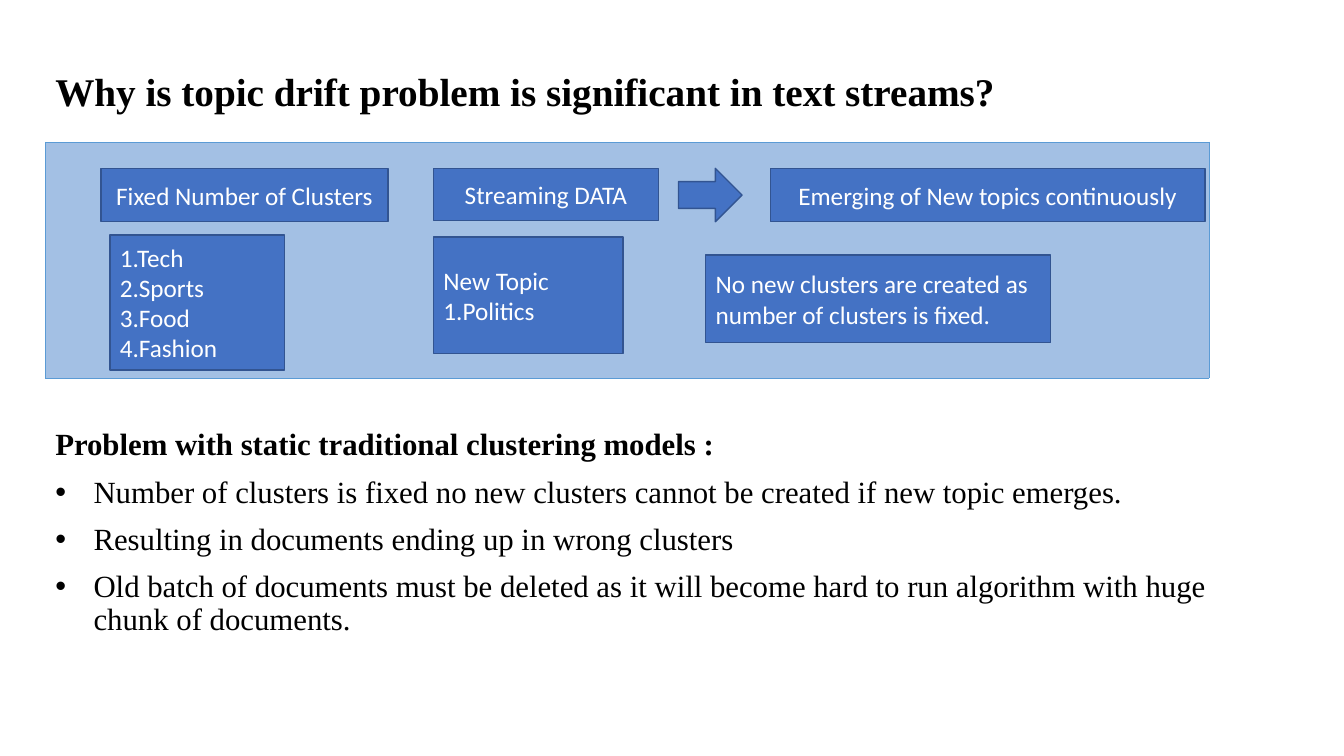
from dataclasses import dataclass

import pptx
import pptx.dml.color
import pptx.enum.shapes
import pptx.enum.text
import pptx.oxml
import pptx.oxml.ns
import pptx.util
from lxml import etree

EMU_PER_PX = 9144
SHAPE = pptx.enum.shapes.MSO_SHAPE
ANCHOR = pptx.enum.text.MSO_ANCHOR
ALIGN = pptx.enum.text.PP_ALIGN


@dataclass(frozen=True)
class Theme:
    ink: str = "000000"
    box_fill: str = "4472C4"
    box_line: str = "325491"
    box_text: str = "FFFFFF"
    panel_fill: str = "A3C0E4"
    panel_line: str = "5B9BD5"
    heading_font: str = "Times New Roman"
    box_font: str = "Calibri"
    title_size: int = 28
    body_size: int = 22
    box_size: int = 18


@dataclass(frozen=True)
class Area:
    left: int
    top: int
    width: int
    height: int

    def emu(self) -> list[pptx.util.Emu]:
        return [px(side) for side in (self.left, self.top, self.width, self.height)]


@dataclass(frozen=True)
class Block:
    area: Area
    lines: tuple[str, ...] = ()
    align: ALIGN = ALIGN.LEFT
    outline: SHAPE = SHAPE.RECTANGLE


@dataclass(frozen=True)
class Line:
    text: str
    size: int
    bold: bool = False
    bullet: bool = False
    space_before: int = 0


THEME = Theme()
BULLET_INDENT = 38
LABEL_TOP = 167
STREAM_LEFT = 430

TITLE = Line("Why is topic drift problem is significant in text streams?", THEME.title_size, bold=True)
BODY = [
    Line("Problem with static traditional clustering models :", THEME.body_size, bold=True, space_before=10),
] + [
    Line(text, THEME.body_size, bullet=True, space_before=10)
    for text in (
        "Number of clusters is fixed no new clusters cannot be created if new topic emerges.",
        "Resulting in documents ending up in wrong clusters",
        "Old batch of documents must be deleted as it will become hard to run algorithm with huge chunk of documents.",
    )
]
BLOCKS = [
    Block(Area(STREAM_LEFT, LABEL_TOP, 223, 52), ("Streaming DATA",), ALIGN.CENTER),
    Block(Area(673, LABEL_TOP, 63, 53), outline=SHAPE.RIGHT_ARROW),
    Block(Area(764, LABEL_TOP, 431, 53), ("Emerging of New topics continuously",), ALIGN.CENTER),
    Block(Area(100, LABEL_TOP, 285, 53), ("Fixed Number of Clusters",), ALIGN.CENTER),
    Block(Area(109, 233, 173, 134), ("1.Tech", "2.Sports", "3.Food", "4.Fashion")),
    Block(Area(STREAM_LEFT, 235, 188, 116), ("New Topic", "1.Politics")),
    Block(Area(700, 253, 342, 87), ("No new clusters are created as number of clusters is fixed.",)),
]


def px(count: int) -> pptx.util.Emu:
    return pptx.util.Emu(count * EMU_PER_PX)


def color(value: str) -> pptx.dml.color.RGBColor:
    return pptx.dml.color.RGBColor.from_string(value)


def add_span(para, text: str, font: str, size: int, ink: str, bold: bool = False) -> None:
    span = para.add_run()
    span.text = text
    span.font.name = font
    span.font.size = pptx.util.Pt(size)
    span.font.bold = bold
    span.font.color.rgb = color(ink)


def next_para(frame, index: int):
    return frame.add_paragraph() if index else frame.paragraphs[0]


def add_bullet(para) -> None:
    properties = para._p.get_or_add_pPr()
    properties.set("marL", str(px(BULLET_INDENT)))
    properties.set("indent", str(-px(BULLET_INDENT)))
    for tag, name, value in (("a:buFont", "typeface", "Arial"), ("a:buChar", "char", "•")):
        etree.SubElement(properties, pptx.oxml.ns.qn(tag)).set(name, value)


def add_text(page, area: Area, lines: list[Line], anchor: ANCHOR) -> None:
    frame = page.shapes.add_textbox(*area.emu()).text_frame
    frame.word_wrap = True
    frame.vertical_anchor = anchor
    for index, line in enumerate(lines):
        para = next_para(frame, index)
        para.line_spacing = 0.9
        para.space_before = pptx.util.Pt(line.space_before)
        if line.bullet:
            add_bullet(para)
        add_span(para, line.text, THEME.heading_font, line.size, THEME.ink, line.bold)


def add_panel(page, area: Area) -> None:
    table = page.shapes.add_table(1, 1, *area.emu()).table
    table.first_row = False
    table.horz_banding = False
    cell = table.cell(0, 0)
    properties = cell._tc.get_or_add_tcPr()
    for side in ("a:lnL", "a:lnR", "a:lnT", "a:lnB"):
        border = etree.SubElement(properties, pptx.oxml.ns.qn(side), w=str(pptx.util.Pt(0.5)))
        fill = etree.SubElement(border, pptx.oxml.ns.qn("a:solidFill"))
        etree.SubElement(fill, pptx.oxml.ns.qn("a:srgbClr"), val=THEME.panel_line)
    cell.fill.solid()
    cell.fill.fore_color.rgb = color(THEME.panel_fill)


def add_block(page, block: Block) -> None:
    box = page.shapes.add_shape(block.outline, *block.area.emu())
    box.shadow.inherit = False
    box.fill.solid()
    box.fill.fore_color.rgb = color(THEME.box_fill)
    box.line.color.rgb = color(THEME.box_line)
    box.line.width = pptx.util.Pt(1)
    frame = box.text_frame
    frame.word_wrap = True
    frame.vertical_anchor = ANCHOR.MIDDLE
    for index, text in enumerate(block.lines):
        para = next_para(frame, index)
        para.alignment = block.align
        add_span(para, text, THEME.box_font, THEME.box_size, THEME.box_text)


def main() -> None:
    deck = pptx.Presentation()
    deck.slide_width = px(1333)
    deck.slide_height = px(750)
    page = deck.slides.add_slide(deck.slide_layouts[6])
    add_text(page, Area(45, 39, 1150, 80), [TITLE], ANCHOR.BOTTOM)
    add_text(page, Area(45, 421, 1196, 245), BODY, ANCHOR.TOP)
    add_panel(page, Area(45, 141, 1154, 234))
    for block in BLOCKS:
        add_block(page, block)
    deck.save("out.pptx")


if __name__ == "__main__":
    main()
